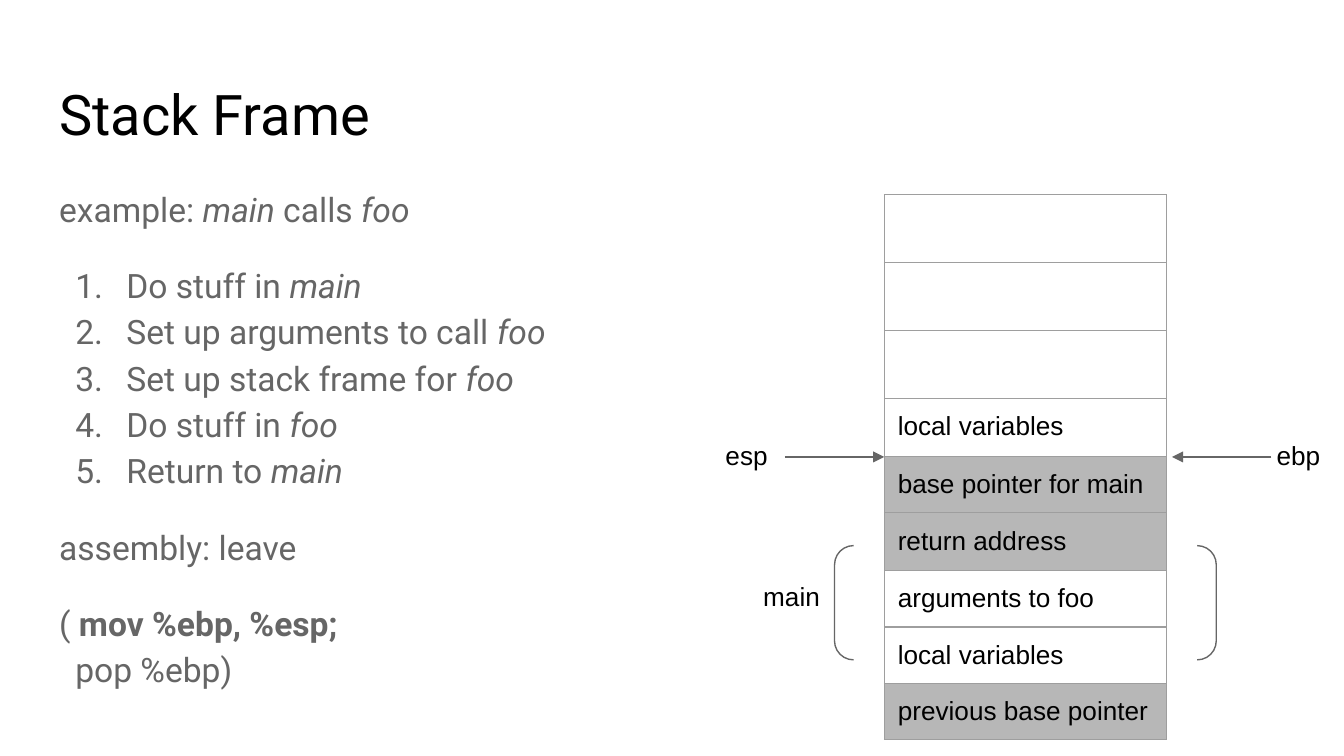
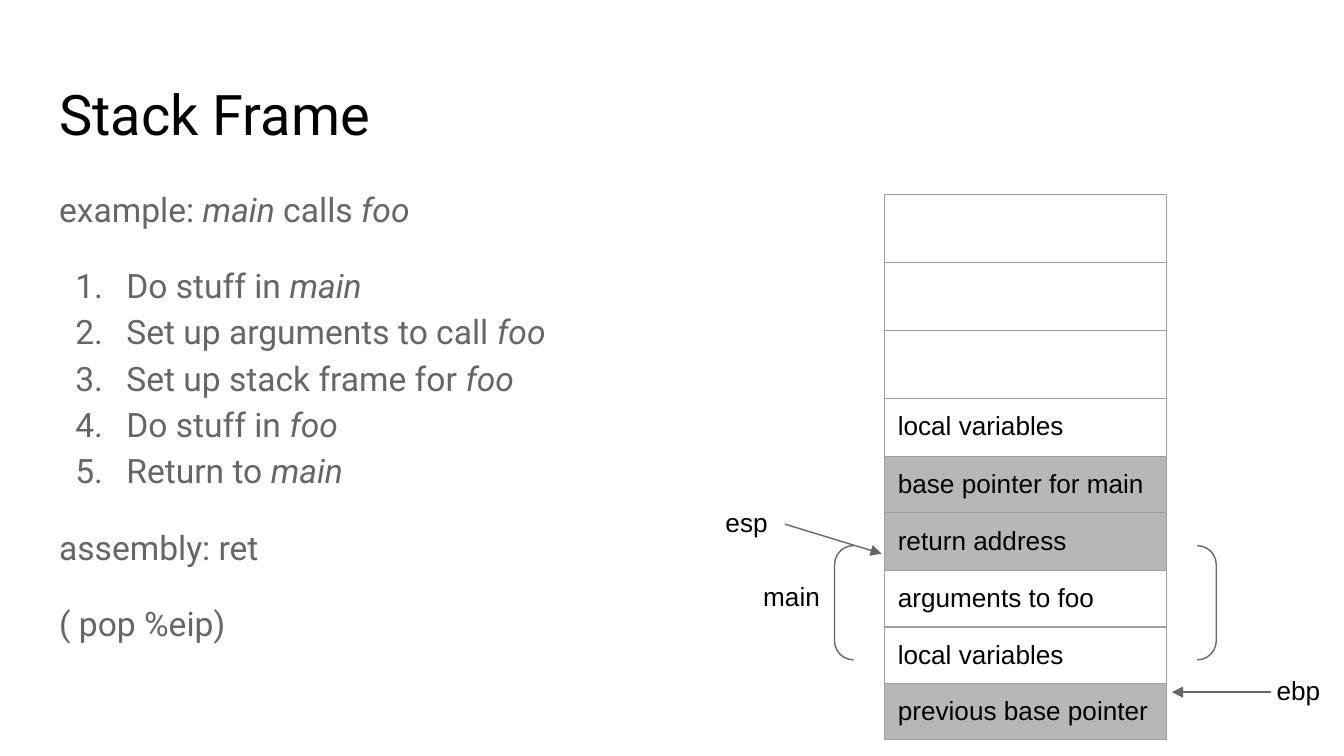
from lxml import etree
from pptx import Presentation
from pptx.dml.color import RGBColor
from pptx.enum import shapes, text
from pptx.oxml import ns
from pptx.util import Inches, Pt

COLORS = {"ink": "000000", "muted": "666666", "grid": "9E9E9E", "saved": "B7B7B7"}
HEADING_FONT, LABEL_FONT = "Roboto", "Arial"
INSET = Inches(0.1)

STEPS = [
    "Do stuff in _main_",
    "Set up arguments to call _foo_",
    "Set up stack frame for _foo_",
    "Do stuff in _foo_",
    "Return to _main_",
]
# (label, height, holds a saved pointer or address)
STACK_ROWS = [("", 0.43, False)] * 3 + [
    ("local variables", 0.43, False),
    ("base pointer for main", 0.42, True),
    ("return address", 0.43, True),
    ("arguments to foo", 0.42, False),
    ("local variables", 0.42, False),
    ("previous base pointer", 0.42, True),
]


def rgb(name):
    return RGBColor.from_string(COLORS[name])


def add_xml(parent, tag, **attributes):
    return etree.SubElement(parent, ns.qn(tag), attributes)


def write(paragraph, content, size=14, font=LABEL_FONT, color="ink"):
    """Add text in which _..._ marks italic and *...* marks bold."""
    for number, line in enumerate(content.split("\n")):
        if number:
            paragraph.add_line_break()
        for b, chunk in enumerate(line.split("*")):
            for i, piece in enumerate(chunk.split("_")):
                if not piece:
                    continue
                run = paragraph.add_run()
                run.text = piece
                run.font.size = Pt(size)
                run.font.name = font
                run.font.color.rgb = rgb(color)
                run.font.bold = b % 2 == 1
                run.font.italic = i % 2 == 1


def set_insets(holder):
    holder.margin_left = holder.margin_right = INSET
    holder.margin_top = holder.margin_bottom = INSET


class Deck:
    def __init__(self):
        self.presentation = Presentation()
        self.presentation.slide_width = Inches(10)
        self.presentation.slide_height = Inches(10) * 9 // 16
        self.slide = None

    def new_slide(self, title):
        layout = self.presentation.slide_layouts[1]
        self.slide = self.presentation.slides.add_slide(layout)
        frame = self.place(self.slide.shapes.title, 0.49, 0.63)
        heading = frame.paragraphs[0]
        heading.alignment = text.PP_ALIGN.LEFT
        write(heading, title, size=30, font=HEADING_FONT)

    def place(self, placeholder, top, height):
        placeholder.left, placeholder.top = Inches(0.34), Inches(top)
        placeholder.width, placeholder.height = Inches(9.32), Inches(height)
        frame = placeholder.text_frame
        frame.word_wrap = True
        frame.auto_size = text.MSO_AUTO_SIZE.NONE
        frame.vertical_anchor = text.MSO_ANCHOR.TOP
        set_insets(frame)
        return frame

    def body(self, entries):
        """Fill the body with (text, left margin, hanging indent, numbered, space before)."""
        frame = self.place(self.slide.placeholders[1], 1.26, 3.74)
        for index, (content, margin, hanging, numbered, before) in enumerate(entries):
            paragraph = frame.add_paragraph() if index else frame.paragraphs[0]
            properties = paragraph._p.get_or_add_pPr()
            properties.set("marL", str(Inches(margin)))
            properties.set("indent", str(-Inches(hanging)))
            if numbered:
                bullet_color = add_xml(properties, "a:buClr")
                add_xml(bullet_color, "a:srgbClr", val=COLORS["muted"])
                add_xml(properties, "a:buFont", typeface=HEADING_FONT)
                add_xml(properties, "a:buAutoNum", type="arabicPeriod")
            else:
                add_xml(properties, "a:buNone")
            paragraph.line_spacing = 1.15
            paragraph.space_before = Pt(before)
            write(paragraph, content, size=18, font=HEADING_FONT, color="muted")

    def stack(self, rows):
        side = Inches(3.28)
        frame = self.slide.shapes.add_table(
            len(rows), 1, Inches(6.58), Inches(1.45), side, side
        )
        table = frame.table
        table.first_row = table.horz_banding = False
        table.columns[0].width = Inches(2.1)
        for index, (label, height, saved) in enumerate(rows):
            table.rows[index].height = Inches(height)
            cell = table.cell(index, 0)
            set_insets(cell)
            write(cell.text_frame.paragraphs[0], label)
            self.border(cell)
            if saved:
                cell.fill.solid()
                cell.fill.fore_color.rgb = rgb("saved")
            else:
                cell.fill.background()
        frame.width = frame.height = side

    def border(self, cell):
        properties = cell._tc.get_or_add_tcPr()
        for side in ("a:lnL", "a:lnR", "a:lnT", "a:lnB"):
            edge = add_xml(properties, side, w=str(Pt(0.75)))
            add_xml(add_xml(edge, "a:solidFill"), "a:srgbClr", val=COLORS["grid"])

    def brackets(self, left, top, width, height):
        pair = self.slide.shapes.add_shape(
            shapes.MSO_SHAPE.DOUBLE_BRACKET,
            Inches(left), Inches(top), Inches(width), Inches(height),
        )
        pair.shadow.inherit = False
        pair.fill.background()
        pair.line.color.rgb = rgb("muted")
        pair.line.width = Pt(0.75)

    def label(self, content, left, top, width=1.13, height=0.46):
        frame = self.slide.shapes.add_textbox(
            Inches(left), Inches(top), Inches(width), Inches(height)
        ).text_frame
        frame.word_wrap = True
        set_insets(frame)
        write(frame.paragraphs[0], content)

    def arrow(self, start, end):
        connector = self.slide.shapes.add_connector(
            shapes.MSO_CONNECTOR.STRAIGHT, *map(Inches, start + end)
        )
        connector.line.color.rgb = rgb("muted")
        connector.line.width = Pt(0.75)
        add_xml(connector.line._get_or_add_ln(), "a:tailEnd", type="triangle")
        add_xml(connector._element.spPr, "a:effectLst")

    def pointer(self, register, label_left, start, end):
        self.arrow(start, end)
        self.label(register, label_left, start[1] - 0.23)


def stack_frame_slide(deck, instruction, expansion, ebp_y, esp_y, esp_tip):
    deck.new_slide("Stack Frame")
    steps = [(step, 0.5, 0.38, True, 0 if n else 16) for n, step in enumerate(STEPS)]
    deck.body([
        ("example: _main_ calls _foo_", 0, 0, False, 0),
        *steps,
        (f"assembly: {instruction}", 0, 0, False, 16),
        (expansion, 0.12, 0.12, False, 16),
    ])
    deck.stack(STACK_ROWS)
    deck.brackets(6.21, 4.06, 2.84, 0.85)
    deck.label("main", 5.58, 4.22, 2.48, 0.85)
    deck.pointer("ebp", 9.4, (9.46, ebp_y), (8.72, ebp_y))
    deck.pointer("esp", 5.3, (5.84, esp_y), esp_tip)


def main():
    deck = Deck()
    stack_frame_slide(
        deck, "leave", "( *mov %ebp, %esp;*\npop %ebp)", 3.4, 3.4, (6.58, 3.4)
    )
    stack_frame_slide(deck, "ret", "( pop %eip)", 5.15, 3.9, (6.56, 4.12))
    deck.presentation.save("out.pptx")


if __name__ == "__main__":
    main()
